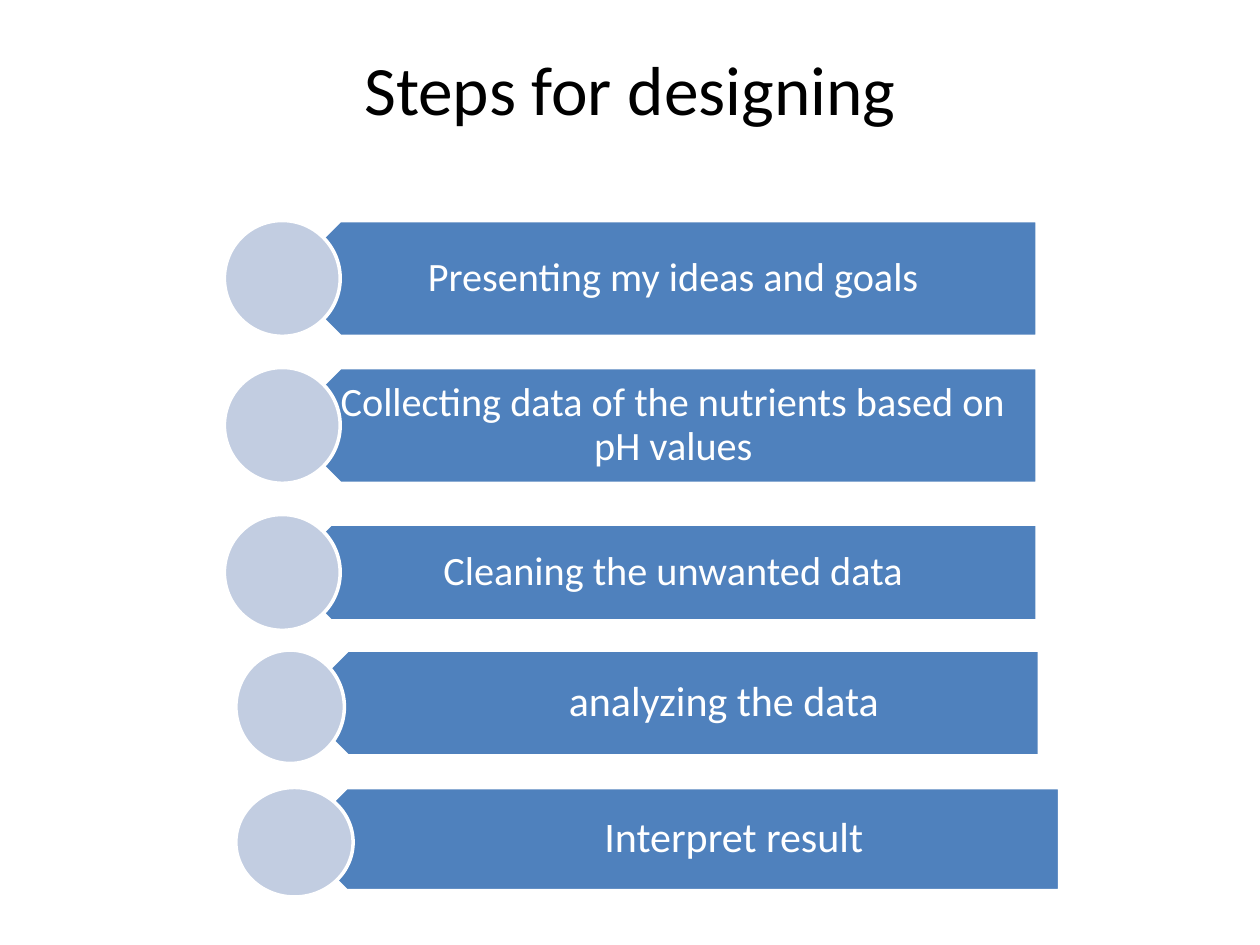
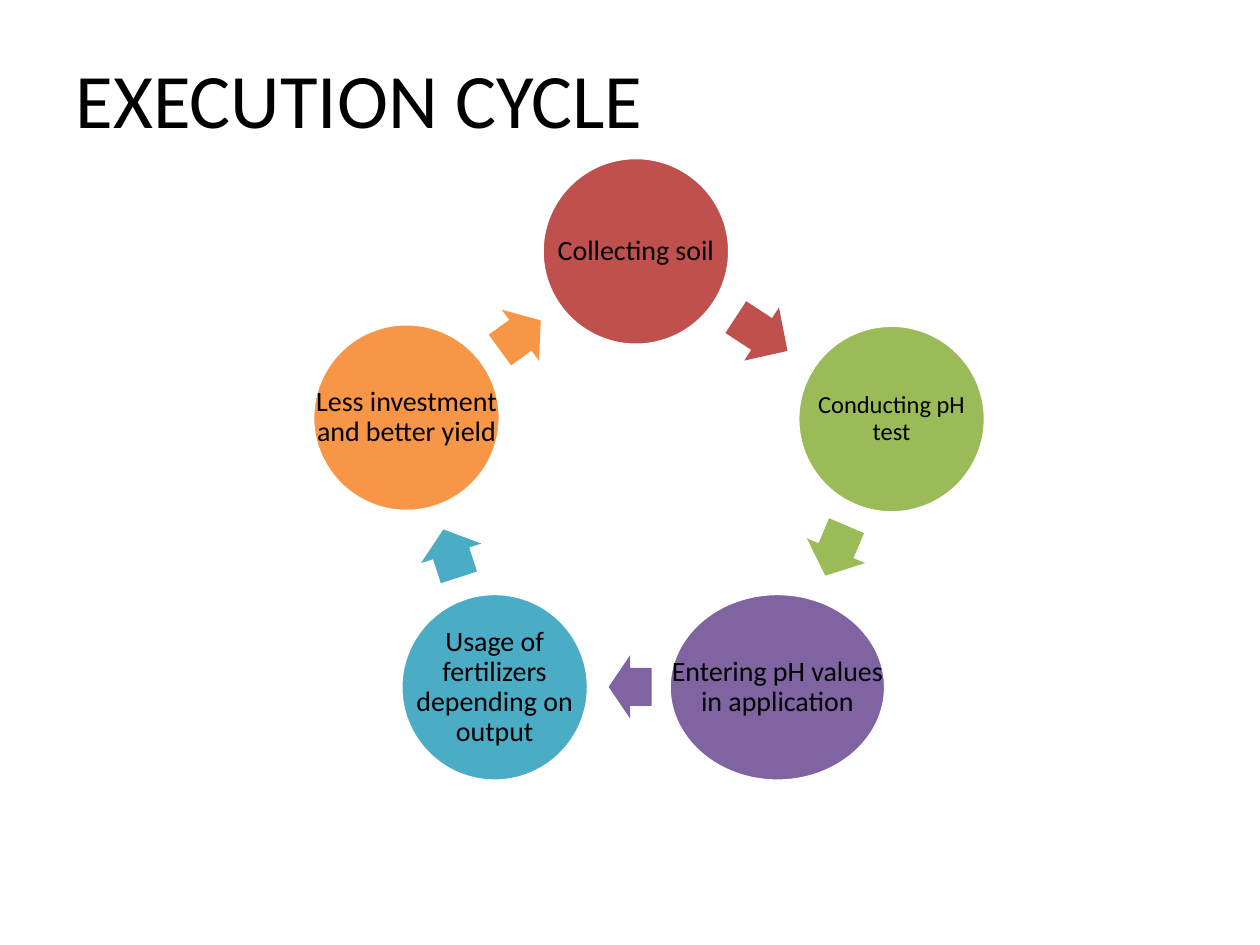
"""Build two slides: the design steps and the execution cycle."""
from dataclasses import dataclass

from pptx import Presentation
from pptx.dml.color import RGBColor
from pptx.enum.shapes import MSO_SHAPE
from pptx.enum.text import MSO_ANCHOR, MSO_AUTO_SIZE, PP_ALIGN
from pptx.presentation import Presentation as Deck
from pptx.shapes.autoshape import Shape
from pptx.slide import Slide
from pptx.text.text import TextFrame
from pptx.util import Pt

FONT = "Calibri"
COLOURS = {
    "black": "000000",
    "white": "FFFFFF",
    "bar": "4F81BD",
    "dot": "C2CDE1",
    "red": "C0504D",
    "green": "9BBB59",
    "purple": "8064A2",
    "teal": "4BACC6",
    "orange": "F79646",
}
TITLE_ONLY = 5
STEP_TOP, STEP_PITCH, STEP_DOT = 126, 84, 66.2
STAGE_SIZE = 107.3
ARROW_HEIGHT = 36.2


@dataclass(frozen=True)
class Box:
    left: float
    top: float
    width: float
    height: float

    def lengths(self) -> tuple[Pt, Pt, Pt, Pt]:
        return Pt(self.left), Pt(self.top), Pt(self.width), Pt(self.height)


@dataclass(frozen=True)
class Step:
    label: str
    bar: Box
    dot: Box
    size: float = 23
    indent: float = 28.8


@dataclass(frozen=True)
class Stage:
    label: str
    colour: str
    left: float
    top: float
    arrow_left: float
    arrow_top: float
    arrow_width: float
    arrow_angle: float
    width: float = STAGE_SIZE
    size: float = 16


def regular_step(row: int, label: str, bar_height: float = STEP_DOT) -> Step:
    top = STEP_TOP + row * STEP_PITCH
    bar_top = top + (STEP_DOT - bar_height) / 2
    return Step(label, Box(161.3, bar_top, 431.3, bar_height),
                Box(128.2, top, STEP_DOT, STEP_DOT))


STEPS = [
    regular_step(0, "Presenting my ideas and goals"),
    regular_step(1, "Collecting data of the nutrients based on pH values"),
    regular_step(2, "Cleaning the unwanted data", 55.4),
    Step("analyzing the data", Box(168.5, 371.5, 425.5, 60.5),
         Box(134.8, 371.5, 62, 64.8), 24, 77.8),
    Step("Interpret result", Box(168.5, 450, 437, 59),
         Box(134.8, 450, 67, 62.6), 24, 77.8),
]

STAGES = [
    Stage("Collecting soil", "red", 309.7, 90, 417.6, 172.8, 35.3, 33.2),
    Stage("Conducting pH test", "green", 455.8, 185.8, 462.2, 296.6, 31, 113.1, size=14),
    Stage("Entering pH values in application", "purple", 382.3, 339.1,
          347.8, 374.4, 24.5, 180, width=123.8),
    Stage("Usage of fertilizers depending on output", "teal", 229, 339.1,
          243.4, 298.1, 28.8, 252),
    Stage("Less investment and better yield", "orange", 178.6, 185,
          283, 173.5, 28.8, 324),
]


def write(frame: TextFrame, text: str, size: float, colour: str,
          align: PP_ALIGN = PP_ALIGN.CENTER, spacing: float = 0.9) -> None:
    frame.word_wrap = True
    frame.auto_size = MSO_AUTO_SIZE.NONE
    frame.vertical_anchor = MSO_ANCHOR.MIDDLE
    paragraph = frame.paragraphs[0]
    paragraph.alignment = align
    paragraph.line_spacing = spacing
    run = paragraph.add_run()
    run.text = text
    run.font.name = FONT
    run.font.size = Pt(size)
    run.font.color.rgb = RGBColor.from_string(COLOURS[colour])


def add_titled_slide(deck: Deck, title: str, box: Box, size: float, align: PP_ALIGN) -> Slide:
    slide = deck.slides.add_slide(deck.slide_layouts[TITLE_ONLY])
    heading = slide.shapes.title
    heading.left, heading.top, heading.width, heading.height = box.lengths()
    write(heading.text_frame, title, size, "black", align, 1.0)
    return slide


def add_filled(slide: Slide, preset: MSO_SHAPE, box: Box, colour: str,
               outlined: bool = True) -> Shape:
    shape = slide.shapes.add_shape(preset, *box.lengths())
    shape.shadow.inherit = False
    shape.fill.solid()
    shape.fill.fore_color.rgb = RGBColor.from_string(COLOURS[colour])
    if outlined:
        shape.line.color.rgb = RGBColor.from_string(COLOURS["white"])
        shape.line.width = Pt(2)
    else:
        shape.line.fill.background()
    return shape


def add_label(slide: Slide, box: Box, text: str, size: float, colour: str,
              left: float, right: float, vertical: float) -> None:
    frame = slide.shapes.add_textbox(*box.lengths()).text_frame
    frame.margin_left, frame.margin_right = Pt(left), Pt(right)
    frame.margin_top = frame.margin_bottom = Pt(vertical)
    write(frame, text, size, colour)


def add_step(slide: Slide, step: Step) -> None:
    add_filled(slide, MSO_SHAPE.PENTAGON, step.bar, "bar").rotation = 180
    add_label(slide, step.bar, step.label, step.size, "white", step.indent, 13, 7)
    add_filled(slide, MSO_SHAPE.OVAL, step.dot, "dot")


def add_stage(slide: Slide, stage: Stage) -> None:
    circle = Box(stage.left, stage.top, stage.width, STAGE_SIZE)
    add_filled(slide, MSO_SHAPE.OVAL, circle, stage.colour)
    add_label(slide, circle, stage.label, stage.size, "black", 1, 1, 1)
    arrow_box = Box(stage.arrow_left, stage.arrow_top, stage.arrow_width, ARROW_HEIGHT)
    arrow = add_filled(slide, MSO_SHAPE.RIGHT_ARROW, arrow_box, stage.colour, outlined=False)
    arrow.adjustments[0], arrow.adjustments[1] = 0.6, 0.5
    arrow.rotation = stage.arrow_angle


def main() -> None:
    deck = Presentation()
    deck.slide_width, deck.slide_height = Pt(720), Pt(540)

    steps_slide = add_titled_slide(deck, "Steps for designing", Box(36, 21.6, 648, 56.9),
                                   39.6, PP_ALIGN.CENTER)
    for step in STEPS:
        add_step(steps_slide, step)

    cycle_slide = add_titled_slide(deck, "EXECUTION CYCLE", Box(36, 21.6, 648, 68.4),
                                   44, PP_ALIGN.JUSTIFY)
    for stage in STAGES:
        add_stage(cycle_slide, stage)

    deck.save("out.pptx")


if __name__ == "__main__":
    main()
